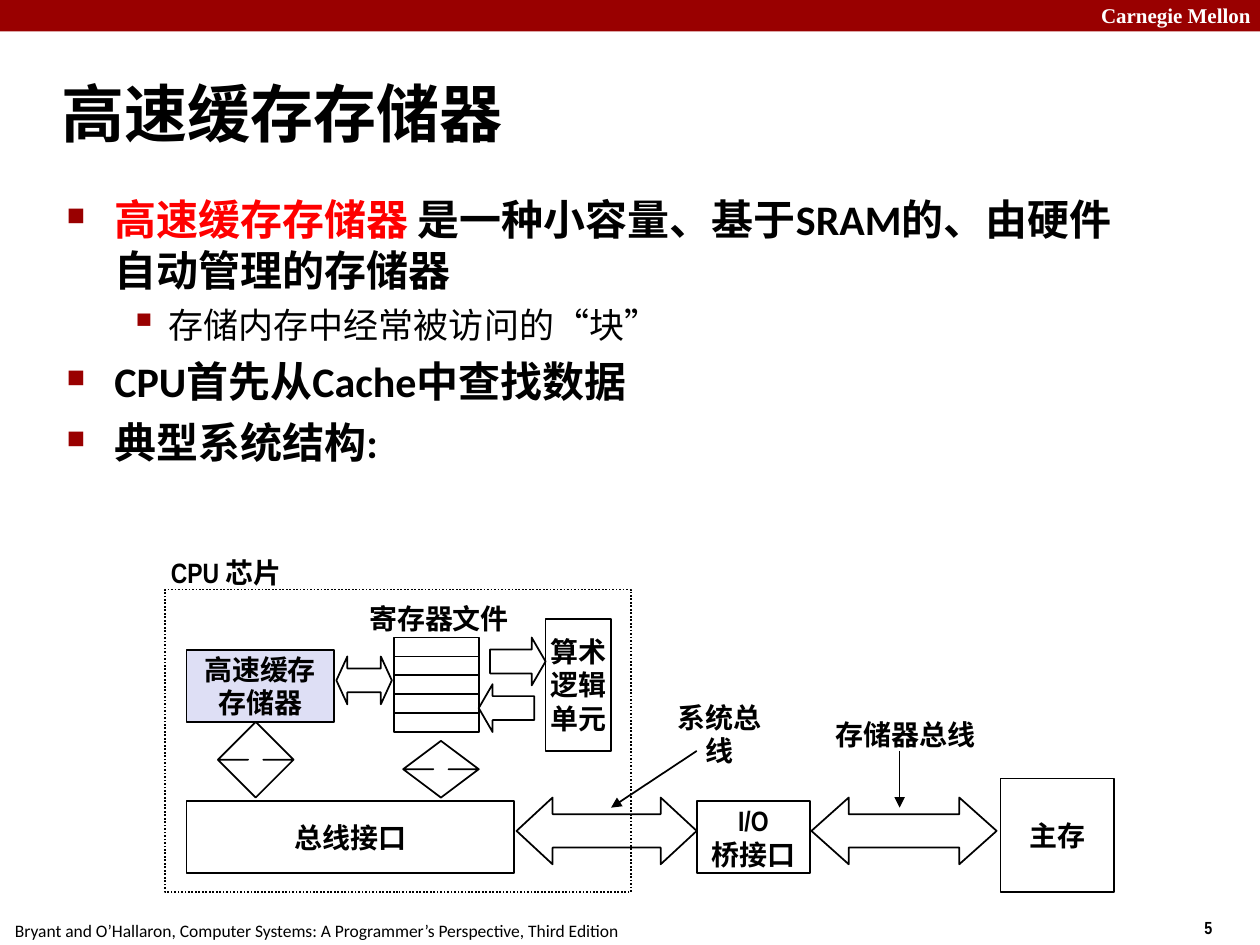
from collections import namedtuple
from dataclasses import dataclass

from lxml.etree import SubElement
from pptx import Presentation
from pptx.dml.color import RGBColor as Rgb
from pptx.enum.dml import MSO_LINE_DASH_STYLE as Dash
from pptx.enum.lang import MSO_LANGUAGE_ID as Language
from pptx.enum.shapes import MSO_CONNECTOR as Connector, MSO_SHAPE as Kind
from pptx.enum.text import MSO_ANCHOR as Anchor, PP_ALIGN as Align
from pptx.oxml.ns import qn
from pptx.util import Pt

PX = 9144

Box = namedtuple("Box", "left top width height")


@dataclass(frozen=True)
class Theme:
    """Colours, fonts and type sizes of the slide."""
    black: Rgb = Rgb(0x00, 0x00, 0x00)
    white: Rgb = Rgb(0xFF, 0xFF, 0xFF)
    crimson: Rgb = Rgb(0x99, 0x00, 0x00)
    red: Rgb = Rgb(0xFF, 0x00, 0x00)
    lavender: Rgb = Rgb(0xDE, 0xDF, 0xF5)
    body: str = "Calibri"
    label: str = "Arial Narrow"
    serif: str = "Times New Roman"
    title_size: int = 36
    point_size: int = 24
    detail_size: int = 20
    label_size: int = 16
    header_size: int = 12
    footer_size: int = 10
    line_width: int = 1


THEME = Theme()


def emu(*lengths):
    """Turn px lengths into EMU."""
    return [length * PX for length in lengths]


def within(box, left, top, width, height):
    """Return a box placed relative to another box."""
    return Box(box.left + left, box.top + top, width, height)


def add_run(paragraph, text, size, font, color=THEME.black, bold=True):
    """Add one formatted run to a paragraph."""
    run = paragraph.add_run()
    run.text = text
    run.font.size = Pt(size)
    run.font.name = font
    run.font.bold = bold
    run.font.color.rgb = color
    if not text.isascii():
        run.font.language_id = Language.SIMPLIFIED_CHINESE


def add_text_box(slide, box, wrap=False, anchor=Anchor.TOP):
    """Add an empty text box and return its text frame."""
    frame = slide.shapes.add_textbox(*emu(*box)).text_frame
    frame.word_wrap = wrap
    frame.vertical_anchor = anchor
    return frame


def add_centred_lines(frame, lines):
    """Write centred label lines into a text frame."""
    frame.word_wrap = False
    frame.vertical_anchor = Anchor.MIDDLE
    for index, line in enumerate(lines):
        paragraph = frame.add_paragraph() if index else frame.paragraphs[0]
        paragraph.alignment = Align.CENTER
        add_run(paragraph, line, THEME.label_size, THEME.label)


def add_block(slide, box, kind=Kind.RECTANGLE, lines=(), fill=None, adjustments=()):
    """Add an outlined shape with optional fill, label and adjustments."""
    shape = slide.shapes.add_shape(kind, *emu(*box))
    shape.shadow.inherit = False
    if fill is None:
        shape.fill.background()
    else:
        shape.fill.solid()
        shape.fill.fore_color.rgb = fill
    shape.line.color.rgb = THEME.black
    shape.line.width = Pt(THEME.line_width)
    for index, value in enumerate(adjustments):
        shape.adjustments[index] = value
    if lines:
        add_centred_lines(shape.text_frame, lines)
    return shape


def add_pointer(slide, box, start, end):
    """Add a line with an arrowhead between two points of a box."""
    points = [box.left + start[0], box.top + start[1], box.left + end[0], box.top + end[1]]
    line = slide.shapes.add_connector(Connector.STRAIGHT, *emu(*points))
    line.line.color.rgb = THEME.black
    line.line.width = Pt(THEME.line_width)
    SubElement(line.line._get_or_add_ln(), qn("a:tailEnd"), type="triangle")
    SubElement(line._element.spPr, qn("a:effectLst"))


def add_bullet(paragraph, character, percent, margin, hanging):
    """Give a paragraph a coloured bullet and a hanging indent."""
    properties = paragraph._p.get_or_add_pPr()
    properties.set("marL", str(margin * PX))
    properties.set("indent", str(-hanging * PX))
    color = SubElement(properties, qn("a:buClr"))
    SubElement(color, qn("a:srgbClr"), val=str(THEME.crimson))
    SubElement(properties, qn("a:buSzPct"), val=str(percent * 1000))
    SubElement(properties, qn("a:buChar"), char=character)


def draw_header(slide, box):
    """Draw the top band with the university name."""
    band = add_block(slide, box, fill=THEME.crimson)
    band.line.fill.background()
    frame = add_text_box(slide, within(box, 864, -3, 143, 30))
    add_run(frame.paragraphs[0], "Carnegie Mellon", THEME.header_size, THEME.serif, THEME.white)


def draw_footer(slide, box):
    """Draw the book reference and the page number."""
    reference = add_text_box(slide, within(box, 2, 2, 501, 27))
    add_run(reference.paragraphs[0],
            "Bryant and O’Hallaron, Computer Systems: A Programmer’s Perspective, Third Edition",
            THEME.footer_size, THEME.body, bold=False)
    number = add_text_box(slide, within(box, 946, 0, 75, 27))
    add_run(number.paragraphs[0], "5", THEME.footer_size, THEME.label)


def draw_title(slide, box):
    """Draw the slide title."""
    frame = add_text_box(slide, box, wrap=True, anchor=Anchor.MIDDLE)
    add_run(frame.paragraphs[0], "高速缓存存储器", THEME.title_size, THEME.body)


def draw_points(slide, box):
    """Draw the two-level bullet list."""
    points = [
        (0, [("高速缓存存储器 ", THEME.red),
             ("是一种小容量、基于SRAM的、由硬件自动管理的存储器", THEME.black)]),
        (1, [("存储内存中经常被访问的“块”", THEME.black)]),
        (0, [("CPU首先从Cache中查找数据", THEME.black)]),
        (0, [("典型系统结构:", THEME.black)]),
    ]
    styles = [(("■", 60, 38, 38), THEME.point_size, 6, True),
              (("▪", 110, 81, 31), THEME.detail_size, 5, False)]
    frame = add_text_box(slide, box, wrap=True)
    for index, (level, runs) in enumerate(points):
        bullet, size, space, bold = styles[level]
        paragraph = frame.add_paragraph() if index else frame.paragraphs[0]
        paragraph.level = level
        if index:
            paragraph.space_before = Pt(space)
        add_bullet(paragraph, *bullet)
        for text, color in runs:
            add_run(paragraph, text, size, THEME.body, color, bold)


def draw_system(slide, box):
    """Draw the processor chip, the buses, the bridge and the main memory."""
    arrows = [
        (Kind.LEFT_RIGHT_ARROW, (513, 165, 147, 53), 0.56),
        (Kind.LEFT_RIGHT_ARROW, (279, 165, 143, 53), 0.54),
        (Kind.LEFT_RIGHT_ARROW, (136, 53, 44, 38), 0.23),
        (Kind.RIGHT_ARROW, (258, 38, 44, 38), 0.29),
        (Kind.LEFT_ARROW, (249, 75, 44, 38), 0.29),
        (Kind.UP_DOWN_ARROW, (189, 120, 60, 45), 0.2),
        (Kind.UP_DOWN_ARROW, (42, 105, 60, 60), 0.2),
    ]
    units = [
        ((663, 150, 90, 90), ["主存"], None),
        ((422, 168, 90, 57), ["I/O", "桥接口"], None),
        ((17, 168, 260, 57), ["总线接口"], None),
        ((302, 23, 52, 105), ["算术", "逻辑", "单元"], None),
        ((17, 48, 117, 57), ["高速缓存", "存储器"], THEME.lavender),
    ]
    labels = [
        ((152, 4, 131, 37), "寄存器文件"),
        ((-8, -32, 113, 37), "CPU 芯片"),
        ((386, 96, 108, 37), "系统总线"),
        ((522, 96, 131, 37), "存储器总线"),
    ]
    for kind, place, head in arrows:
        add_block(slide, within(box, *place), kind, adjustments=(0.5, head))
    for place, lines, fill in units:
        add_block(slide, within(box, *place), lines=lines, fill=fill)
    for row in range(5):
        add_block(slide, within(box, 182, 38 + 15 * row, 67, 15))
    chip = add_block(slide, within(box, 0, 0, 370, 240))
    chip.line.dash_style = Dash.ROUND_DOT
    for place, text in labels:
        add_centred_lines(add_text_box(slide, within(box, *place)), [text])
    add_pointer(slide, box, (422, 128), (354, 173))
    add_pointer(slide, box, (583, 128), (583, 173))


def main():
    """Build the slide and save it."""
    presentation = Presentation()
    presentation.slide_width, presentation.slide_height = emu(1000, 750)
    slide = presentation.slides.add_slide(presentation.slide_layouts[6])
    draw_header(slide, Box(0, 0, 1000, 25))
    draw_footer(slide, Box(0, 723, 1000, 27))
    draw_title(slide, Box(39, 48, 830, 83))
    draw_points(slide, Box(43, 149, 864, 544))
    draw_system(slide, Box(131, 468, 753, 240))
    presentation.save("out.pptx")


if __name__ == "__main__":
    main()
